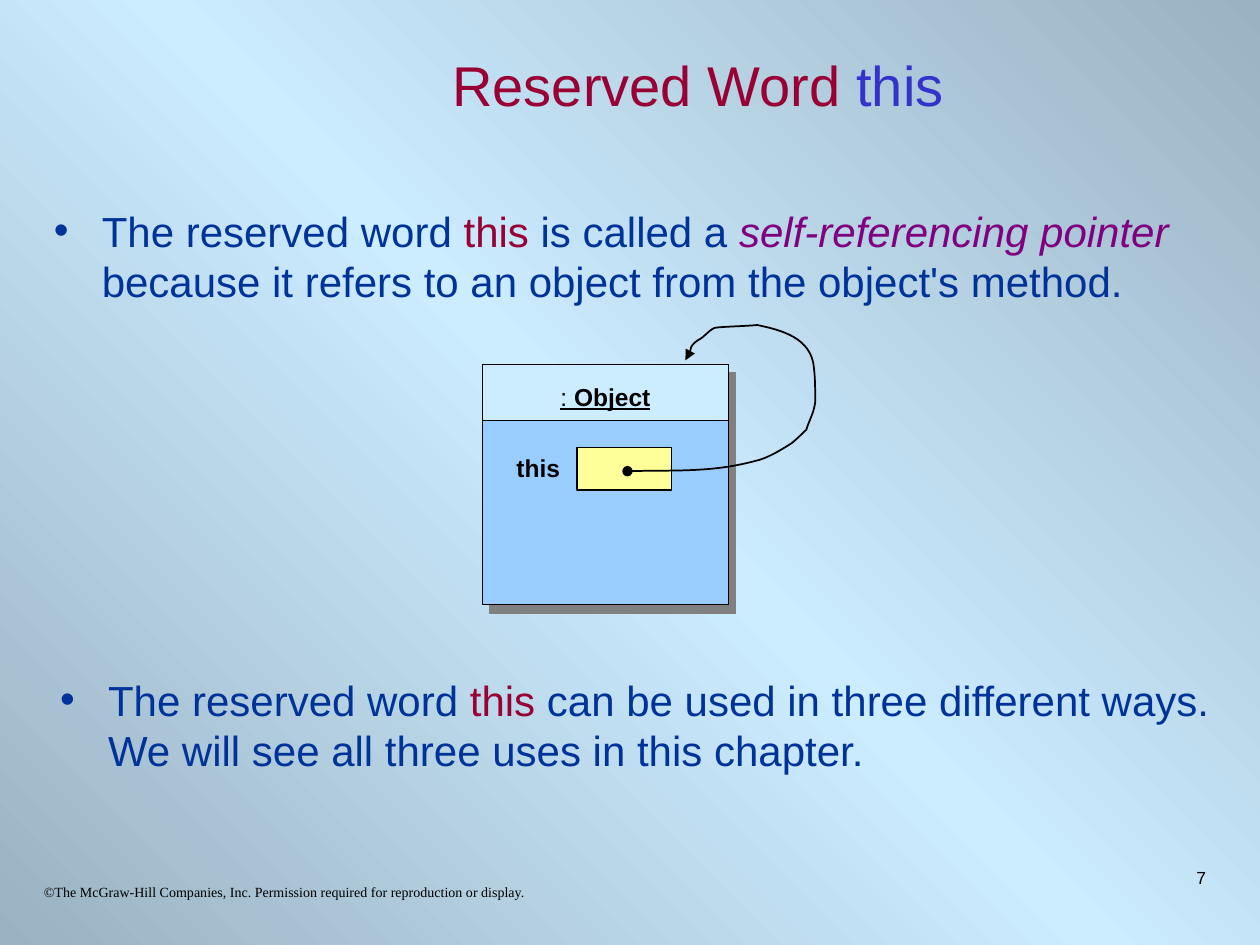
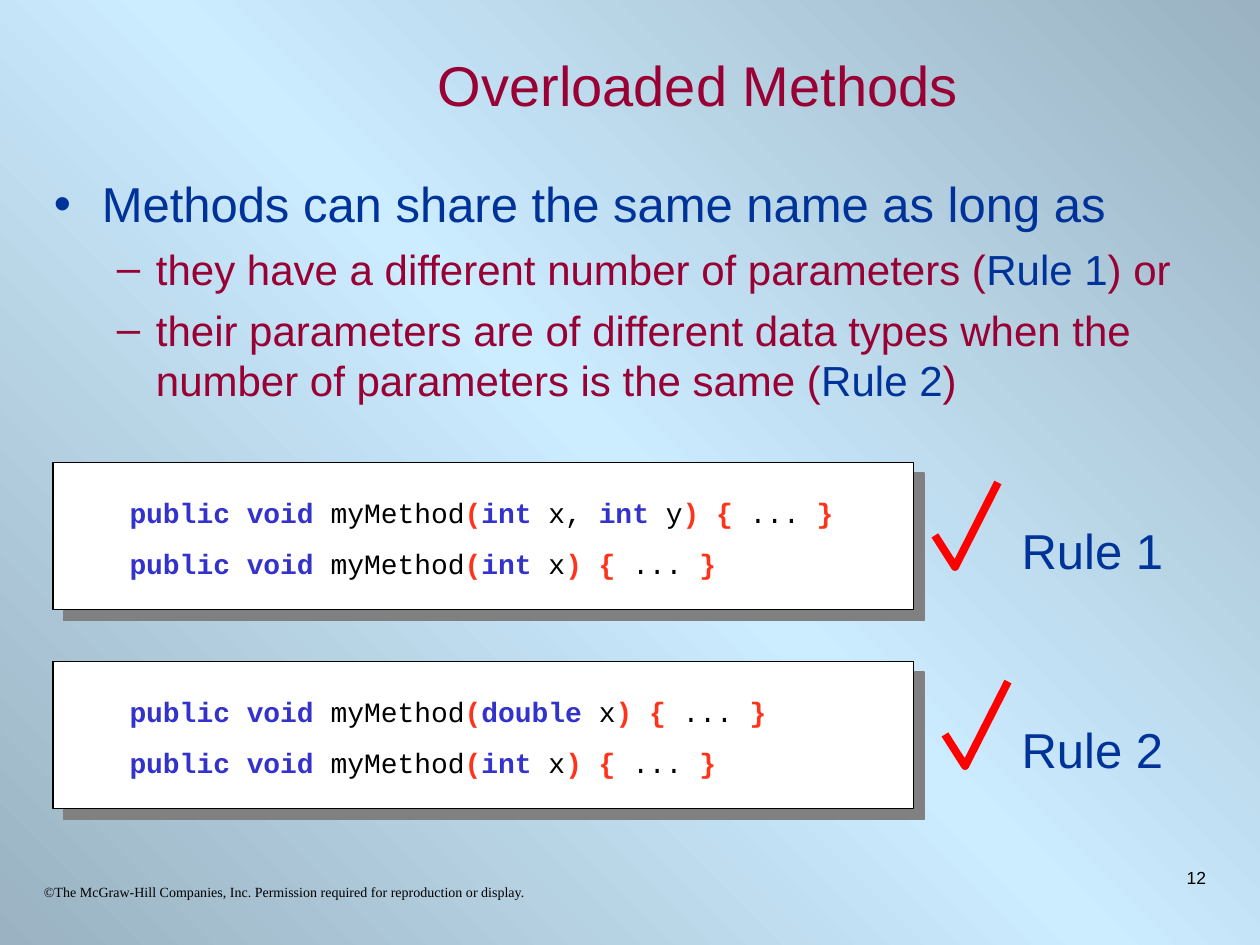
from dataclasses import dataclass

from lxml import etree
from pptx import Presentation
from pptx.dml.color import RGBColor
from pptx.enum.shapes import MSO_SHAPE
from pptx.enum.text import MSO_ANCHOR, PP_ALIGN
from pptx.oxml.ns import qn
from pptx.util import Inches, Pt

RECT = MSO_SHAPE.RECTANGLE
LEFT, MID, RIGHT = PP_ALIGN.LEFT, PP_ALIGN.CENTER, PP_ALIGN.RIGHT
TOP, MIDDLE = MSO_ANCHOR.TOP, MSO_ANCHOR.MIDDLE


@dataclass(frozen=True)
class Theme:
    sans: str = "Arial"
    mono: str = "Courier New"
    serif: str = "Times New Roman"
    black: str = "000000"
    white: str = "FFFFFF"
    edge: str = "9AB2C1"
    pale: str = "CCECFF"
    sky: str = "99CCFF"
    cell: str = "FFFF99"
    navy: str = "003399"
    wine: str = "990033"
    blue: str = "3333CC"
    plum: str = "800080"
    brace: str = "FF331A"
    tick: str = "FF0000"
    shade: str = "808080"
    title: int = 32
    head: int = 28
    body: int = 24
    code: int = 16
    label: int = 14
    page: int = 10
    foot: int = 8


T = Theme()


def sign(*params):
    """Runs of one method signature, coloured by kind of token."""
    runs = [("public void ", T.blue, "b"), ("myMethod", T.black), ("(", T.brace, "b")]
    for i, (kind, name) in enumerate(params, 1):
        comma = ", " if i < len(params) else ""
        runs += [(kind + " ", T.blue, "b"), (name + comma, T.black)]
    return runs + [(") { ", T.brace, "b"), ("... ", T.black), ("}", T.brace, "b")]


# Content: a run is (text, colour, flags), flags being b, i or u
CREDIT = "©The McGraw-Hill Companies, Inc. Permission required for reproduction or display."

THIS_HEAD = [("Reserved Word ", T.wine), ("this", T.blue)]
THIS_NOTES = [
    ((0.33, 1.58), [
        ("The reserved word ", T.navy), ("this", T.wine), (" is called a ", T.navy),
        ("self-referencing pointer", T.plum, "i"),
        (" because it refers to an object from the object's method.", T.navy)]),
    ((0.38, 5.3), [
        ("The reserved word ", T.navy), ("this", T.wine),
        (" can be used in three different ways. "
         "We will see all three uses in this chapter.", T.navy)]),
]
OBJECT = [(": ", T.black, "u"), ("Object", T.black, "bu")]
FIELD = [("this", T.black, "b")]
# Start point, then three points for each Bézier curve
LOOP = [
    (4.98, 3.74),
    (5.35, 3.73), (5.65, 3.75), (5.99, 3.66),
    (6.09, 3.64), (6.2, 3.57), (6.28, 3.52),
    (6.32, 3.49), (6.4, 3.41), (6.4, 3.41),
    (6.42, 3.34), (6.46, 3.28), (6.47, 3.19),
    (6.47, 3.1), (6.47, 3.01), (6.46, 2.92),
    (6.44, 2.68), (6.2, 2.62), (6.01, 2.58),
    (5.9, 2.59), (5.8, 2.59), (5.69, 2.6),
    (5.64, 2.6), (5.59, 2.68), (5.54, 2.7),
    (5.47, 2.75), (5.49, 2.8), (5.44, 2.86),
]

LOAD_HEAD = [("Overloaded Methods", T.wine)]
LOAD_LEAD = [("Methods can share the same name as long as", T.navy)]
LOAD_SUBS = [
    [("they have a different number of parameters (", T.wine),
     ("Rule 1", T.navy), (") or", T.wine)],
    [("their parameters are of different data types when the number of "
      "parameters is the same (", T.wine), ("Rule 2", T.navy), (")", T.wine)],
]
INT_X = ("int", "x")
# Label, left edge of the tick, code lines
RULES = [
    ("Rule 1", 7.42, [sign(INT_X, ("int", "y")), sign(INT_X)]),
    ("Rule 2", 7.5, [sign(("double", "x")), sign(INT_X)]),
]
TICK = [(0, 0.42), (0.16, 0.67), (0.5, 0)]
CARD_TOP, CARD_STEP = 3.67, 1.58


def rgb(code):
    return RGBColor.from_string(code)


def add(parent, tag, **attrs):
    return etree.SubElement(parent, qn(tag), {k: str(v) for k, v in attrs.items()})


def bullet(para, mark, color, left, hang):
    props = para._p.get_or_add_pPr()
    props.set("marL", str(Inches(left)))
    props.set("indent", str(-Inches(hang)))
    add(add(props, "a:buClr"), "a:srgbClr", val=color)
    add(props, "a:buFont", typeface=T.sans)
    add(props, "a:buChar", char=mark)


def fill_para(para, runs, size, face=T.sans, align=LEFT, gap=0):
    para.alignment = align
    para.space_before = Pt(gap)
    para.font.size, para.font.name = Pt(size), face
    for words, color, *flags in runs:
        flags = "".join(flags)
        run = para.add_run()
        run.text = words
        font = run.font
        font.color.rgb = rgb(color)
        if "b" in flags:
            font.bold = True
        if "i" in flags:
            font.italic = True
        if "u" in flags:
            font.underline = True


def frame(slide, box, wrap=True, anchor=TOP):
    text = slide.shapes.add_textbox(*map(Inches, box)).text_frame
    text.word_wrap = wrap
    text.vertical_anchor = anchor
    return text


def write(slide, box, runs, size, face=T.sans, align=LEFT, **opts):
    fill_para(frame(slide, box, **opts).paragraphs[0], runs, size, face, align)


def panel(slide, box, fill, shade=None):
    """Outlined rectangle; shade is (distance in points, angle in degrees)."""
    shape = slide.shapes.add_shape(RECT, *map(Inches, box))
    shape.shadow.inherit = False
    shape.fill.solid()
    shape.fill.fore_color.rgb = rgb(fill)
    shape.line.color.rgb = rgb(T.black)
    shape.line.width = Pt(0.75)
    if shade:
        dist, angle = shade
        effects = shape._element.spPr.find(qn("a:effectLst"))
        drop = add(effects, "a:outerShdw", dist=Pt(dist), dir=angle * 60000,
                   algn="ctr", rotWithShape=0)
        add(drop, "a:srgbClr", val=T.shade)


def stroke(slide, points, color, width):
    start, *rest = [(Inches(x), Inches(y)) for x, y in points]
    pen = slide.shapes.build_freeform(*start)
    pen.add_line_segments(rest, close=False)
    shape = pen.convert_to_shape()
    shape.shadow.inherit = False
    shape.fill.background()
    shape.line.color.rgb = rgb(color)
    shape.line.width = Pt(width)
    return shape


def bend(shape):
    """Turn each three straight segments into one cubic curve."""
    lines = list(shape._element.iter(qn("a:lnTo")))
    for i in range(0, len(lines), 3):
        first, *others = lines[i:i + 3]
        first.tag = qn("a:cubicBezTo")
        for line in others:
            first.append(line[0])
            line.getparent().remove(line)


def base(deck, head, page):
    """Slide with the shared background, title, credit and page number."""
    slide = deck.slides.add_slide(deck.slide_layouts[6])
    fill = slide.background.fill
    fill.gradient()
    fill.gradient_angle = 225
    stops = next(slide.element.iter(qn("a:gsLst")))
    for stop in list(stops):
        stops.remove(stop)
    for pos, color in ((0, T.edge), (50, T.pale), (100, T.edge)):
        add(add(stops, "a:gs", pos=pos * 1000), "a:srgbClr", val=color)
    write(slide, (1.5, 0.25, 8.08, 0.83), head, T.title, align=MID, anchor=MIDDLE)
    write(slide, (0.25, 6.96, 4.64, 0.29), [(CREDIT, T.black)], T.foot, T.serif)
    write(slide, (7.5, 6.83, 2.17, 0.5), [(str(page), T.black)], T.page, align=RIGHT)
    return slide


def this_slide(deck):
    slide = base(deck, THIS_HEAD, 7)
    for spot, runs in THIS_NOTES:
        para = frame(slide, (*spot, 9.33, 0.98)).paragraphs[0]
        bullet(para, "•", T.navy, 0.38, 0.38)
        fill_para(para, runs, T.body)
    panel(slide, (3.83, 2.89, 1.95, 1.91), T.sky, (6.4, 51))
    panel(slide, (3.83, 2.89, 1.95, 0.45), T.pale)
    write(slide, (4.35, 2.98, 1.06, 0.34), OBJECT, T.label)
    panel(slide, (4.58, 3.55, 0.75, 0.34), T.cell)
    write(slide, (4, 3.55, 0.58, 0.34), FIELD, T.label, wrap=False)
    loop = stroke(slide, LOOP, T.black, 1)
    bend(loop)
    line = loop._element.spPr.find(qn("a:ln"))
    add(line, "a:headEnd", type="oval")
    add(line, "a:tailEnd", type="triangle")


def load_slide(deck):
    slide = base(deck, LOAD_HEAD, 12)
    text = frame(slide, (0.33, 1.33, 9.33, 2))
    lead = text.paragraphs[0]
    bullet(lead, "•", T.navy, 0.38, 0.38)
    fill_para(lead, LOAD_LEAD, T.head)
    for runs in LOAD_SUBS:
        para = text.add_paragraph()
        para.level = 1
        bullet(para, "–", T.wine, 0.81, 0.31)
        fill_para(para, runs, T.body, gap=6)
    for i, (label, left, code) in enumerate(RULES):
        top = CARD_TOP + i * CARD_STEP
        panel(slide, (0.42, top, 6.83, 1.17), T.white, (8.5, 45))
        text = frame(slide, (0.93, top + 0.21, 6.2, 0.77))
        for j, runs in enumerate(code):
            para = text.add_paragraph() if j else text.paragraphs[0]
            fill_para(para, runs, T.code, T.mono, gap=10 if j else 0)
        write(slide, (8.01, top + 0.41, 1.32, 0.57), [(label, T.navy)], T.head,
              wrap=False)
        stroke(slide, [(left + x, top + 0.16 + y) for x, y in TICK], T.tick, 4.5)


def main():
    deck = Presentation()
    deck.slide_width, deck.slide_height = Inches(10), Inches(7.5)
    this_slide(deck)
    load_slide(deck)
    deck.save("out.pptx")


if __name__ == "__main__":
    main()
